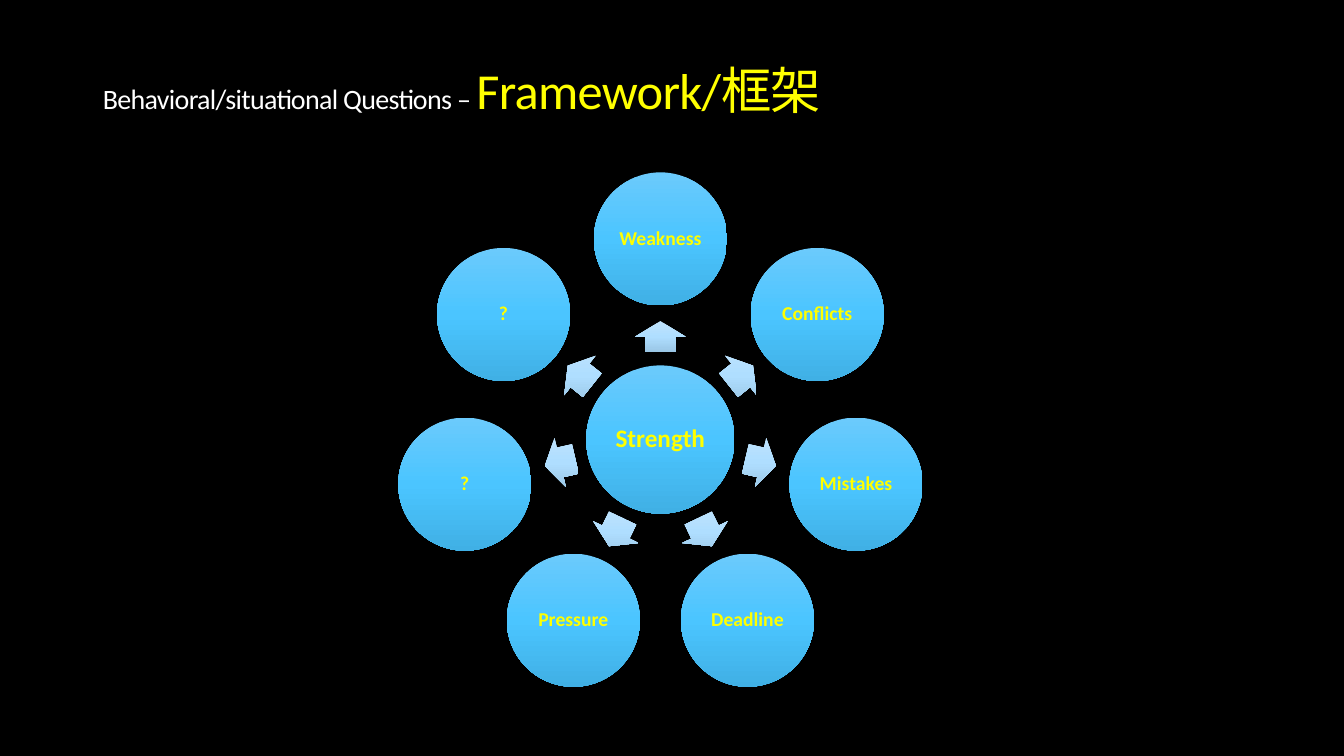
from math import cos, radians, sin

from lxml.etree import SubElement
from pptx import Presentation
from pptx.dml.color import RGBColor
from pptx.enum.shapes import MSO_SHAPE
from pptx.enum.text import MSO_ANCHOR, MSO_AUTO_SIZE, PP_ALIGN
from pptx.oxml.ns import qn
from pptx.util import Inches, Pt

FONT = "Calibri"
COLORS = {"background": "000000", "white": "FFFFFF", "yellow": "FFFF00"}
CIRCLE_STOPS = ("6BCAFC", "4BC5FF", "40B0E5")
ARROW_STOPS = ("BFE3FD", "AFDEFF", "9AC6E5")

TOPICS = ["Weakness", "Conflicts", "Mistakes", "Deadline", "Pressure", "?", "?"]
CENTER_X, CENTER_Y = 6.55, 4.36
HUB_SIZE, TOPIC_SIZE = 1.47, 1.32
ARROW_WIDTH, ARROW_HEIGHT = 0.31, 0.5
TOPIC_RADIUS, ARROW_RADIUS = 1.99, 1.02


def color(name):
    return RGBColor.from_string(COLORS[name])


def fill_gradient(sp, stops):
    """Vertical gradient that stays upright when the shape is rotated."""
    sp.fill.gradient()
    sp.fill.gradient_angle = 270
    grad = sp._element.spPr.find(qn("a:gradFill"))
    grad.set("rotWithShape", "0")
    stop_list = grad.find(qn("a:gsLst"))
    for old in list(stop_list):
        stop_list.remove(old)
    for i, value in enumerate(stops):
        stop = SubElement(stop_list, qn("a:gs"), pos=str(i * 50000))
        SubElement(stop, qn("a:srgbClr"), val=value)


def add_centered(s, kind, x, y, width, height, stops):
    sp = s.shapes.add_shape(kind, Inches(x - width / 2), Inches(y - height / 2),
                            Inches(width), Inches(height))
    sp.shadow.inherit = False
    sp.line.fill.background()
    fill_gradient(sp, stops)
    return sp


def add_circle(s, text, x, y, diameter, size):
    sp = add_centered(s, MSO_SHAPE.OVAL, x, y, diameter, diameter, CIRCLE_STOPS)
    tf = sp.text_frame
    tf.word_wrap = True
    tf.vertical_anchor = MSO_ANCHOR.MIDDLE
    tf.margin_left = tf.margin_right = Inches(0.02)
    tf.margin_top = tf.margin_bottom = Inches(0.02)
    p = tf.paragraphs[0]
    p.text = text
    p.alignment = PP_ALIGN.CENTER
    p.line_spacing = 0.9
    p.font.name = FONT
    p.font.size = Pt(size)
    p.font.bold = True
    p.font.color.rgb = color("yellow")


def add_arrow(s, x, y, angle):
    sp = add_centered(s, MSO_SHAPE.RIGHT_ARROW, x, y, ARROW_WIDTH, ARROW_HEIGHT, ARROW_STOPS)
    sp.adjustments[0] = 0.6
    sp.adjustments[1] = 0.5
    sp.rotation = angle % 360


def add_title(s, runs):
    title = s.shapes.title
    title.left, title.top = Inches(0.92), Inches(0.4)
    title.width, title.height = Inches(11.5), Inches(1.04)
    tf = title.text_frame
    tf.word_wrap = True
    tf.auto_size = MSO_AUTO_SIZE.NONE
    tf.vertical_anchor = MSO_ANCHOR.MIDDLE
    p = tf.paragraphs[0]
    p.alignment = PP_ALIGN.LEFT
    p.line_spacing = 0.9
    p.font.name = FONT
    for text, size, name in runs:
        r = p.add_run()
        r.text = text
        r.font.name = FONT
        r.font.size = Pt(size)
        r.font.color.rgb = color(name)
        r.font._element.set("spc", "-50")


def point_at(radius, angle):
    return (CENTER_X + radius * cos(radians(angle)),
            CENTER_Y + radius * sin(radians(angle)))


def main():
    prs = Presentation()
    prs.slide_width, prs.slide_height = Inches(13.33), Inches(7.5)
    s = prs.slides.add_slide(prs.slide_layouts[5])
    s.background.fill.solid()
    s.background.fill.fore_color.rgb = color("background")

    # Title
    add_title(s, [("Behavioral/situational Questions – ", 20, "white"),
                  ("Framework/框架", 36, "yellow")])

    # Hub, then arrows and topics clockwise from the top
    add_circle(s, "Strength", CENTER_X, CENTER_Y, HUB_SIZE, 18)
    for i, topic in enumerate(TOPICS):
        angle = -90 + i * 360 / len(TOPICS)
        add_arrow(s, *point_at(ARROW_RADIUS, angle), angle)
        add_circle(s, topic, *point_at(TOPIC_RADIUS, angle), TOPIC_SIZE, 14)

    prs.save("out.pptx")


if __name__ == "__main__":
    main()
